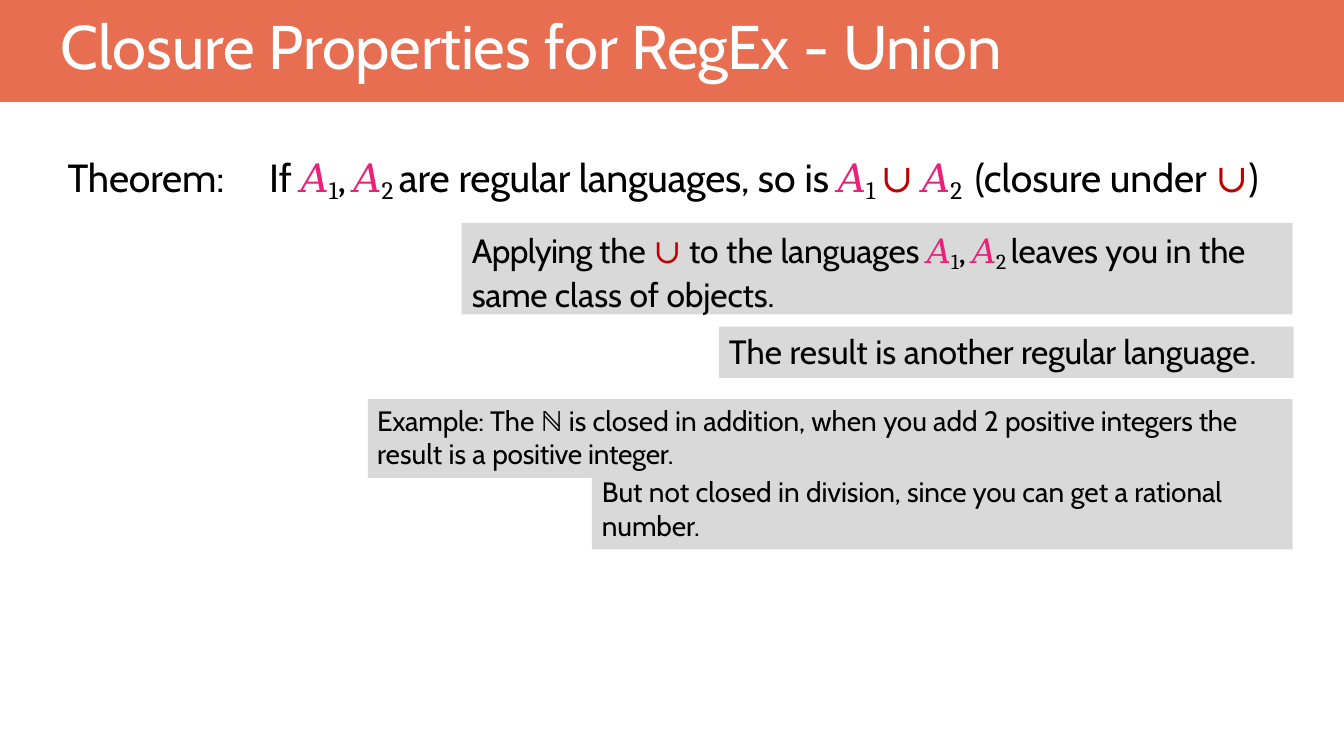
from typing import NamedTuple

import lxml.etree
import pptx
import pptx.dml.color
import pptx.enum.shapes
import pptx.enum.text
import pptx.oxml.ns
import pptx.util

Inches = pptx.util.Inches

COLORS = {
    "banner": "E76E51",
    "note": "D9D9D9",
    "white": "FFFFFF",
    "text": "000000",
    "variable": "EC207B",
    "operator": "C00000",
}


class Style(NamedTuple):
    font: str
    color: str
    subscript: bool = False


class Piece(NamedTuple):
    text: str
    style: str = "text"
    tracking: float = 0


class Line(NamedTuple):
    pieces: list[Piece]
    indent: float = 0.01
    space_before: float = 0
    tabs: tuple[float, ...] = ()


class Block(NamedTuple):
    left: float
    top: float
    width: float
    height: float
    size: float
    lines: list[Line]
    fill: str | None = None
    inset: float = 0.01


STYLES = {
    "title": Style("Cabin", "white"),
    "text": Style("Cabin", "text"),
    "symbol": Style("Cambria", "text"),
    "variable": Style("Cambria", "variable"),
    "operator": Style("Cambria", "operator"),
    "subscript": Style("Cambria", "text", True),
}

A = Piece("𝐴", "variable")
A1_AND_A2 = [A, Piece("1", "subscript"), Piece(", ", "symbol"), A, Piece("2 ", "subscript")]
UNION = Piece("∪ ", "operator")

TITLE = [
    Piece("Closure ", "title"),
    Piece("Properties ", "title", -0.2),
    Piece("for ", "title"),
    Piece("RegEx ", "title", -0.5),
    Piece("- ", "title"),
    Piece("Union", "title", -0.1),
]
THEOREM = [
    Piece("Theorem:", tracking=-0.1),
    Piece("\tIf "),
    *A1_AND_A2,
    Piece("are "),
    Piece("regular ", tracking=-0.1),
    Piece("languages, ", tracking=-0.2),
    Piece("so is "),
    A,
    Piece("1 ", "subscript"),
    UNION,
    A._replace(tracking=-0.2),
    Piece("2\t", "subscript", -0.4),
    Piece("(closure under "),
    Piece("∪", "operator", -0.2),
    Piece(")", tracking=-0.2),
]
MEANING = [
    Piece("Applying ", tracking=-0.5),
    Piece("the "),
    UNION,
    Piece("to the "),
    Piece("languages ", tracking=-0.2),
    *A1_AND_A2,
    Piece("leaves ", tracking=-0.1),
    Piece("you in "),
    Piece("the same ", tracking=-0.2),
    Piece("class of "),
    Piece("objects.", tracking=-0.1),
]
RESULT = [
    Piece("The result is "),
    Piece("another ", tracking=-0.1),
    Piece("regular ", tracking=-0.2),
    Piece("language.", tracking=-0.1),
]
ADDITION = [
    Piece("Example: ", tracking=-0.2),
    Piece("The "),
    Piece("ℕ ", "symbol"),
    Piece("is closed in "),
    Piece("addition, ", tracking=-0.1),
    Piece("when "),
    Piece("you ", tracking=-0.1),
    Piece("add 2 "),
    Piece("positive integers the ", tracking=-0.2),
    Piece("result is a "),
    Piece("positive integer.", tracking=-0.2),
]
DIVISION = [
    Piece("But not closed in "),
    Piece("division, since you ", tracking=-0.1),
    Piece("can get a "),
    Piece("rational number.", tracking=-0.1),
]

BANNER = [(0, 0), (13.33, 0), (13.33, 1.01), (0, 1.01)]
EXAMPLE_PANEL = [(3.65, 3.96), (12.82, 3.96), (12.82, 5.45), (5.87, 5.45), (5.87, 4.74), (3.65, 4.74)]

BLOCKS = [
    Block(0.59, 0.07, 10.48, 0.76, 44, [Line(TITLE)]),
    Block(4.58, 2.21, 8.24, 0.91, 24, [Line(MEANING, 0.1)], "note", 0.04),
    Block(7.13, 3.24, 5.7, 0.51, 24, [Line(RESULT, 0.1)], "note", 0.04),
    Block(3.73, 3.99, 8.68, 1.4, 20, [Line(ADDITION), Line(DIVISION, 2.24, 3.1)]),
    Block(0.64, 1.47, 12.13, 0.49, 28, [Line(THEOREM, 0.03, tabs=(1.77, 9.26))]),
]


def rgb(name: str) -> pptx.dml.color.RGBColor:
    return pptx.dml.color.RGBColor.from_string(COLORS[name])


def paint(shape, color: str) -> None:
    shape.shadow.inherit = False
    shape.fill.solid()
    shape.fill.fore_color.rgb = rgb(color)
    shape.line.fill.background()


def draw_outline(slide, corners: list[tuple[float, float]], color: str) -> None:
    points = [(Inches(x), Inches(y)) for x, y in corners]
    builder = slide.shapes.build_freeform(*points[0])
    builder.add_line_segments(points[1:], close=True)
    paint(builder.convert_to_shape(), color)


def add_run(paragraph, text: str, *, size: float, style: Style, tracking: float) -> None:
    run = paragraph.add_run()
    run.text = text
    run.font.size = pptx.util.Pt(round(size * 1.1, 1) if style.subscript else size)
    run.font.name = style.font
    run.font.color.rgb = rgb(style.color)
    properties = run.font._element
    for script in ("a:ea", "a:cs"):
        lxml.etree.SubElement(properties, pptx.oxml.ns.qn(script), typeface=style.font)
    if tracking:
        properties.set("spc", str(round(tracking * 100)))
    if style.subscript:
        properties.set("baseline", "-16000")


def format_line(paragraph, line: Line) -> None:
    properties = paragraph._p.get_or_add_pPr()
    properties.set("marL", str(Inches(line.indent)))
    properties.set("indent", "0")
    if line.tabs:
        stops = lxml.etree.SubElement(properties, pptx.oxml.ns.qn("a:tabLst"))
        for position in line.tabs:
            lxml.etree.SubElement(stops, pptx.oxml.ns.qn("a:tab"), pos=str(Inches(position)), algn="l")
    paragraph.alignment = pptx.enum.text.PP_ALIGN.LEFT
    if line.space_before:
        paragraph.space_before = pptx.util.Pt(line.space_before)


def draw_block(slide, block: Block) -> None:
    place = [Inches(length) for length in block[:4]]
    if block.fill:
        box = slide.shapes.add_shape(pptx.enum.shapes.MSO_SHAPE.RECTANGLE, *place)
        paint(box, block.fill)
    else:
        box = slide.shapes.add_textbox(*place)
    frame = box.text_frame
    frame.word_wrap = True
    frame.vertical_anchor = pptx.enum.text.MSO_ANCHOR.TOP
    frame.margin_left = frame.margin_right = frame.margin_bottom = 0
    frame.margin_top = Inches(block.inset)
    for index, line in enumerate(block.lines):
        paragraph = frame.add_paragraph() if index else frame.paragraphs[0]
        format_line(paragraph, line)
        for text, style, tracking in line.pieces:
            add_run(paragraph, text, size=block.size, style=STYLES[style], tracking=tracking)


def main() -> None:
    presentation = pptx.Presentation()
    presentation.slide_width = Inches(13.33)
    presentation.slide_height = Inches(7.5)
    slide = presentation.slides.add_slide(presentation.slide_layouts[6])
    draw_outline(slide, BANNER, "banner")
    draw_outline(slide, EXAMPLE_PANEL, "note")
    for block in BLOCKS:
        draw_block(slide, block)
    presentation.save("out.pptx")


if __name__ == "__main__":
    main()
